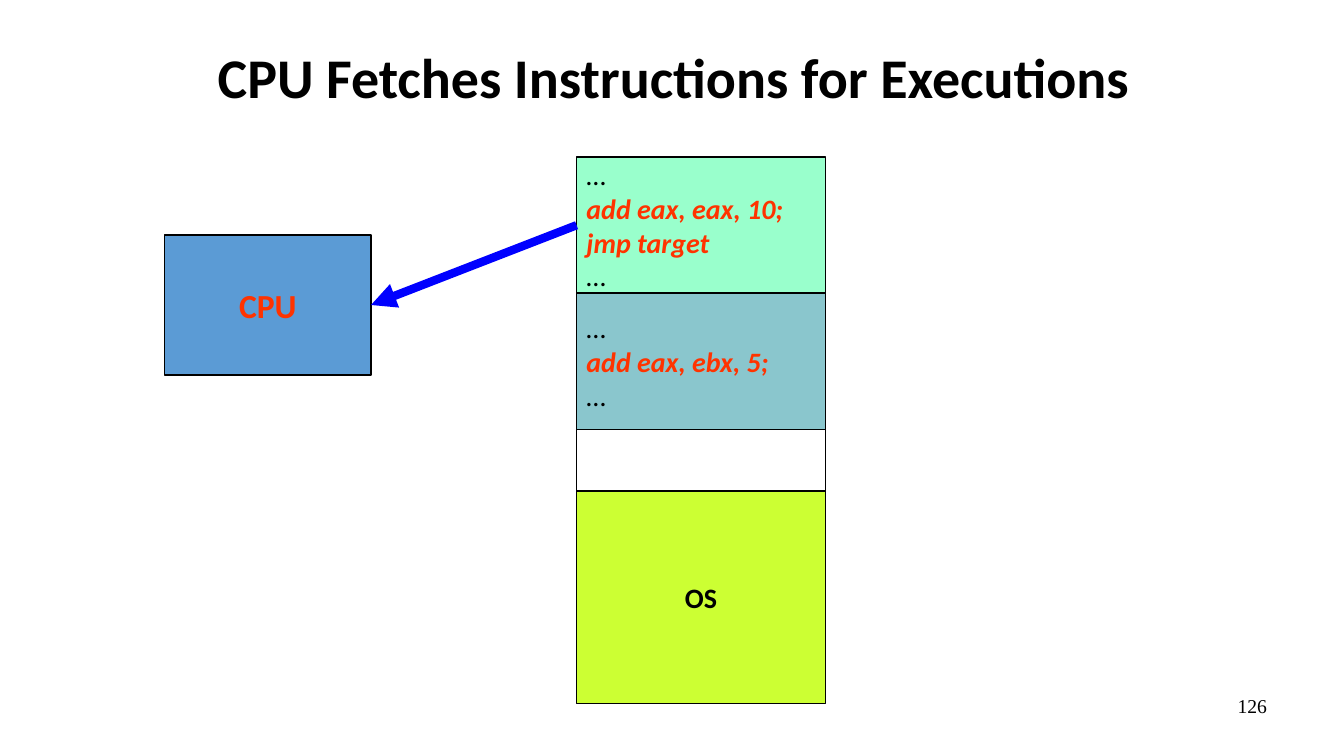
from pptx import Presentation
from pptx.dml.color import RGBColor
from pptx.enum.shapes import MSO_CONNECTOR, MSO_SHAPE
from pptx.enum.text import MSO_ANCHOR, PP_ALIGN
from pptx.oxml.ns import qn
from pptx.util import Cm, Pt
from lxml.etree import SubElement

# Content
TITLE = "CPU Fetches Instructions for Executions"
PAGE_NUMBER = "126"
ELLIPSIS = "…"
FIRST_PROGRAM = [ELLIPSIS, "add eax, eax, 10;", "jmp target", ELLIPSIS]
SECOND_PROGRAM = [ELLIPSIS, "add eax, ebx, 5;", ELLIPSIS]

COLORS = {
    "black": "000000", "code": "FF3300", "arrow": "0000FF", "cpu": "5B9BD5",
    "first": "99FFCC", "second": "8AC6CD", "os": "CCFF33",
}

# Memory column, in centimetres
MEMORY_LEFT, MEMORY_TOP, MEMORY_WIDTH = 14.53, 3.96, 6.27
PROGRAM_HEIGHT, FREE_HEIGHT, OS_HEIGHT = 3.43, 1.55, 5.36
SECOND_TOP = MEMORY_TOP + PROGRAM_HEIGHT
OS_TOP = SECOND_TOP + PROGRAM_HEIGHT + FREE_HEIGHT


def color(name):
    return RGBColor.from_string(COLORS[name])


def format_paragraph(paragraph, size, color_name="black", bold=False,
                     italic=False, align=PP_ALIGN.CENTER, font_name="Calibri"):
    paragraph.alignment = align
    for run in paragraph.runs:
        font = run.font
        font.name, font.size = font_name, Pt(size)
        font.bold, font.italic = bold, italic
        font.color.rgb = color(color_name)


def add_block(slide, left, top, width, height, fill=None):
    shape = slide.shapes.add_shape(
        MSO_SHAPE.RECTANGLE, Cm(left), Cm(top), Cm(width), Cm(height))
    shape.shadow.inherit = False
    if fill:
        shape.fill.solid()
        shape.fill.fore_color.rgb = color(fill)
    else:
        shape.fill.background()
    shape.line.color.rgb = color("black")
    shape.line.width = Pt(1)
    shape.text_frame.word_wrap = False
    shape.text_frame.vertical_anchor = MSO_ANCHOR.MIDDLE
    return shape


def add_memory(slide, top, height, fill=None):
    return add_block(slide, MEMORY_LEFT, top, MEMORY_WIDTH, height, fill)


def write_label(shape, text, size, color_name="black"):
    shape.text_frame.text = text
    format_paragraph(shape.text_frame.paragraphs[0], size, color_name, bold=True)


def write_program(shape, lines):
    shape.text_frame.text = "\n".join(lines)
    for paragraph in shape.text_frame.paragraphs:
        is_code = paragraph.text != ELLIPSIS
        format_paragraph(paragraph, 20, "code" if is_code else "black",
                         is_code, is_code, PP_ALIGN.LEFT)


def add_arrow(slide, source, target):
    arrow = slide.shapes.add_connector(MSO_CONNECTOR.STRAIGHT, 0, 0, 0, 0)
    arrow.begin_connect(source, 1)
    arrow.end_connect(target, 3)
    arrow.line.color.rgb = color("arrow")
    arrow.line.width = Pt(6)
    SubElement(arrow.line._get_or_add_ln(), qn("a:tailEnd"), type="triangle")
    SubElement(arrow._element.spPr, qn("a:effectLst"))


def main():
    presentation = Presentation()
    presentation.slide_width, presentation.slide_height = Cm(33.87), Cm(19.05)
    slide = presentation.slides.add_slide(presentation.slide_layouts[5])

    # Title
    title = slide.shapes.title
    title.left, title.top, title.width, title.height = (
        Cm(1.73), Cm(0.33), Cm(30.48), Cm(3.18))
    title.text_frame.vertical_anchor = MSO_ANCHOR.MIDDLE
    write_label(title, TITLE, 40)

    # Memory: the free space lies behind the second program
    first = add_memory(slide, MEMORY_TOP, PROGRAM_HEIGHT, "first")
    write_program(first, FIRST_PROGRAM)
    system = add_memory(slide, OS_TOP, OS_HEIGHT, "os")
    write_label(system, "OS", 20)
    add_memory(slide, SECOND_TOP, PROGRAM_HEIGHT + FREE_HEIGHT)

    # Processor and the fetch arrow
    cpu = add_block(slide, 4.15, 5.92, 5.2, 3.53, "cpu")
    write_label(cpu, "CPU", 24, "code")
    add_arrow(slide, first, cpu)

    second = add_memory(slide, SECOND_TOP, PROGRAM_HEIGHT, "second")
    write_program(second, SECOND_PROGRAM)

    # Page number
    number = slide.shapes.add_textbox(Cm(24.28), Cm(17.35), Cm(7.9), Cm(1.32))
    number.text_frame.word_wrap = True
    number.text_frame.text = PAGE_NUMBER
    format_paragraph(number.text_frame.paragraphs[0], 14,
                     align=PP_ALIGN.RIGHT, font_name="Times New Roman")

    presentation.save("out.pptx")


if __name__ == "__main__":
    main()
